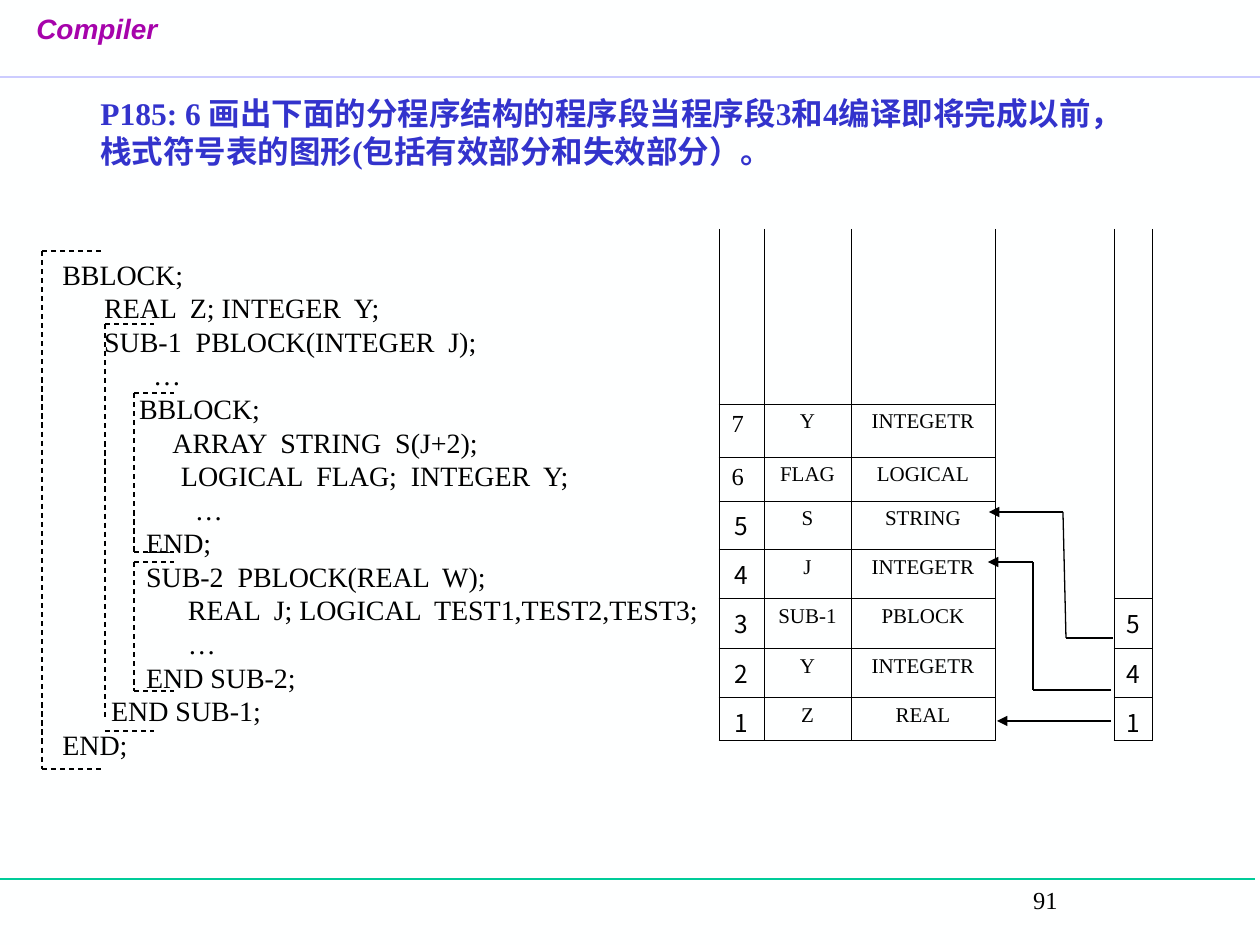
from itertools import pairwise

from pptx import Presentation
from pptx.dml.color import RGBColor
from pptx.enum.dml import MSO_LINE
from pptx.enum.shapes import MSO_CONNECTOR
from pptx.enum.text import MSO_AUTO_SIZE, PP_ALIGN
from pptx.oxml.ns import qn
from pptx.util import Pt
from lxml import etree

STRAIGHT = MSO_CONNECTOR.STRAIGHT
DASH = MSO_LINE.DASH
GROW, FIXED = MSO_AUTO_SIZE.SHAPE_TO_FIT_TEXT, MSO_AUTO_SIZE.NONE
LEFT, CENTER = PP_ALIGN.LEFT, PP_ALIGN.CENTER
PX_PER_INCH = 126
SERIF, SANS, CJK = "Times New Roman", "Arial", "Noto Sans CJK SC"
BLACK = "000000"
PLAIN_TABLE_STYLE = "{2D5ABB26-0587-4C30-8999-92F81FD0307C}"

TITLE = [
    "P185: 6 画出下面的分程序结构的程序段当程序段3和4编译即将完成以前，",
    "栈式符号表的图形(包括有效部分和失效部分）。",
]
CODE = """\
 BBLOCK;
       REAL  Z; INTEGER  Y;
       SUB-1  PBLOCK(INTEGER  J);
              …
            BBLOCK;
                 ARRAY  STRING  S(J+2);
                  LOGICAL  FLAG;  INTEGER  Y;
                    …
             END;
             SUB-2  PBLOCK(REAL  W);
                   REAL  J; LOGICAL  TEST1,TEST2,TEST3;
                   …
             END SUB-2;
        END SUB-1;
 END;""".split("\n")
# Number, name, type, block index entry; top of the stack first
SYMBOLS = [
    ("", "", "", ""),
    ("7", "Y", "INTEGETR", ""),
    ("6", "FLAG", "LOGICAL", ""),
    ("5", "S", "STRING", ""),
    ("4", "J", "INTEGETR", ""),
    ("3", "SUB-1", "PBLOCK", "5"),
    ("2", "Y", "INTEGETR", "4"),
    ("1", "Z", "REAL", "1"),
]


def px(length):
    return round(length * 914400 / PX_PER_INCH)


def rgb(value):
    return RGBColor.from_string(value)


def write(paragraph, text, size, font=SERIF, color=BLACK, align=LEFT, **style):
    paragraph.alignment = align
    run = paragraph.add_run()
    run.text = text
    run.font.color.rgb = rgb(color)
    for name, value in {"size": Pt(size), "name": font, **style}.items():
        setattr(run.font, name, value)
    etree.SubElement(run.font._element, qn("a:ea"), typeface=CJK)


def add_text(slide, box, lines, size, wrap=False, auto_size=FIXED, indent=0, **style):
    frame = slide.shapes.add_textbox(*map(px, box)).text_frame
    frame.word_wrap = wrap
    frame.auto_size = auto_size
    if indent:
        frame.margin_left = px(indent)
    for index, line in enumerate(lines):
        paragraph = frame.add_paragraph() if index else frame.paragraphs[0]
        write(paragraph, line, size, **style)


def add_line(slide, start, end, color=BLACK, width=0.75, dash=None, arrow=False):
    connector = slide.shapes.add_connector(STRAIGHT, *map(px, (*start, *end)))
    connector.line.color.rgb = rgb(color)
    connector.line.width = Pt(width)
    if dash:
        connector.line.dash_style = dash
    if arrow:
        etree.SubElement(connector.line._get_or_add_ln(), qn("a:tailEnd"), type="triangle")
    etree.SubElement(connector._element.spPr, qn("a:effectLst"))


def add_header(slide, left, top, width):
    add_line(slide, (left, top + 77), (left + width, top + 77), "CCCCFF", 1)
    add_text(slide, (left + 24, top + 5, 129, 71), ["Compiler"], 16,
             font=SANS, color="A603AB", bold=True, italic=True)


def add_footer(slide, left, top, width):
    add_line(slide, (left, top), (left + width, top), "00CC99")
    add_text(slide, (left + 873, top, 387, 63), ["91"], 14, wrap=True, indent=165)


def add_program(slide, left, top):
    add_text(slide, (left + 1, top, 670, 517), CODE, 16, auto_size=GROW)
    # Scope brackets: x, top, bottom, end of the spine, arm length
    for x, upper, lower, spine_end, arm in [
        (0, 0, 518, 518, 63),
        (63, 73, 480, 470, 49),
        (92, 142, 301, 301, 40),
        (92, 311, 440, 440, 40),
    ]:
        x, upper, lower = left + x, top + upper, top + lower
        add_line(slide, (x, upper), (x, top + spine_end), dash=DASH)
        for y in (upper, lower):
            add_line(slide, (x, y), (x + arm, y), dash=DASH)


def add_borders(cell, sides):
    properties = cell._tc.get_or_add_tcPr()
    for index, side in enumerate(sides):
        line = etree.Element(qn(f"a:ln{side}"), w=str(Pt(0.45)))
        fill = etree.SubElement(line, qn("a:solidFill"))
        etree.SubElement(fill, qn("a:srgbClr"), val=BLACK)
        properties.insert(index, line)


def add_symbol_table(slide, left, top):
    widths = [45, 87, 144, 119, 38]
    heights = [175, 53, 44, 49, 49, 50, 49, 43]
    box = (left, top, sum(widths), sum(heights))
    table = slide.shapes.add_table(len(heights), len(widths), *map(px, box)).table
    table._tbl.tblPr.find(qn("a:tableStyleId")).text = PLAIN_TABLE_STYLE
    table.first_row = table.horz_banding = False
    for column, width in zip(table.columns, widths):
        column.width = px(width)
    for row, height in zip(table.rows, heights):
        row.height = px(height)

    for r, (number, name, kind, entry) in enumerate(SYMBOLS):
        for c, text in enumerate((number, name, kind, "", entry)):
            cell = table.cell(r, c)
            cell.fill.background()
            add_borders(cell, "LRTB" if text else "LR")
            if not text:
                cell.margin_top = cell.margin_bottom = 0
            elif c in (1, 2):
                write(cell.text_frame.paragraphs[0], text, 12, align=CENTER)
            else:
                serif = text in "67"
                write(cell.text_frame.paragraphs[0], text, 14,
                      font=SERIF if serif else CJK, align=LEFT if serif else CENTER)
    # Gap between the two stacks, and the free part of the index stack
    table.cell(0, 3).merge(table.cell(7, 3))
    table.cell(0, 4).merge(table.cell(4, 4))


def add_index_arrows(slide, left, top):
    for route in [
        [(125, 126), (78, 126), (75, 0), (1, 0)],
        [(123, 178), (45, 178), (45, 50), (0, 50)],
        [(123, 209), (9, 209)],
    ]:
        points = [(left + x, top + y) for x, y in route]
        for start, end in pairwise(points):
            add_line(slide, start, end, arrow=end == points[-1])


def main():
    deck = Presentation()
    deck.slide_width, deck.slide_height = px(1260), px(945)
    slide = deck.slides.add_slide(deck.slide_layouts[6])
    slide.background.fill.solid()
    slide.background.fill.fore_color.rgb = rgb("FEFFFF")

    add_header(slide, 0, 0, 1260)
    add_footer(slide, -5, 879, 1260)
    # Exercise title
    add_text(slide, (88, 88, 1085, 88), TITLE, 18, auto_size=GROW,
             color="3333CC", bold=True)
    add_program(slide, 42, 251)
    add_index_arrows(slide, 988, 512)
    add_symbol_table(slide, 719, 229)
    deck.save("out.pptx")


if __name__ == "__main__":
    main()
